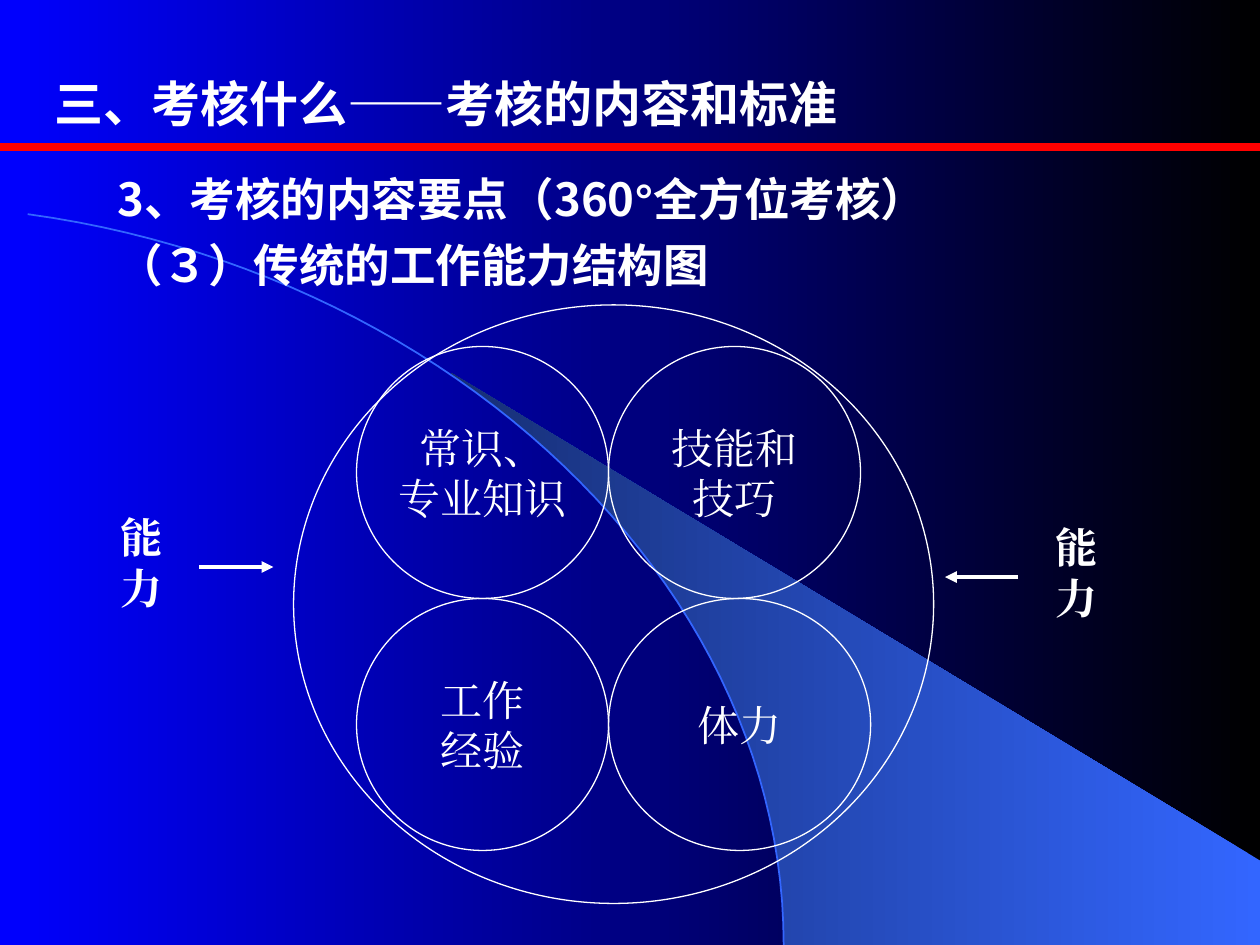
from lxml.etree import SubElement
from pptx import Presentation
from pptx.dml.color import RGBColor
from pptx.enum.shapes import MSO_CONNECTOR, MSO_SHAPE
from pptx.enum.text import MSO_ANCHOR, MSO_AUTO_SIZE, PP_ALIGN
from pptx.oxml.ns import qn
from pptx.util import Inches, Pt

HUES = {"white": "FFFFFF", "red": "FF0000", "black": "000000",
        "blue": "0000FF", "sky": "3366FF", "navy": "172F75"}
HUES = {name: RGBColor.from_string(code) for name, code in HUES.items()}
SANS, SERIF = "Noto Sans CJK SC", "Times New Roman"


def write(shape, lines, look, frame, para):
    """Fill a shape with paragraphs; a line is a list of (text, font) runs."""
    box = shape.text_frame
    for key, value in frame.items():
        setattr(box, key, value)
    for num, line in enumerate(lines):
        item = box.add_paragraph() if num else box.paragraphs[0]
        for key, value in para.items():
            setattr(item, key, value)
        item.space_before = para.get("space_before", Pt(0)) if num else Pt(0)
        for text, face in line:
            run = item.add_run()
            run.text = text
            run.font.color.rgb = HUES["white"]
            for key, value in {**look, "name": face}.items():
                setattr(run.font, key, value)
            SubElement(run.font._element, qn("a:ea"), typeface=face)


def draw_line(start, end, hue, width, head=False):
    ends = [Inches(v) for v in (*start, *end)]
    line = slide.shapes.add_connector(MSO_CONNECTOR.STRAIGHT, *ends)
    line.line.color.rgb = HUES[hue]
    line.line.width = Pt(width)
    if head:
        SubElement(line.line._get_or_add_ln(), qn("a:tailEnd"), type="triangle")
    SubElement(line._element.spPr, qn("a:effectLst"))


deck = Presentation()
deck.slide_width, deck.slide_height = Inches(10), Inches(7.5)
slide = deck.slides.add_slide(deck.slide_layouts[0])

# Curve of the backdrop, a cubic from upper left to the bottom edge
knots = [(0.22, 1.7), (3.57, 2.16), (6.22, 4.64), (6.22, 7.5)]
curve = []
for step in range(51):
    t = step / 50
    parts = ((1 - t) ** 3, 3 * t * (1 - t) ** 2, 3 * t * t * (1 - t), t ** 3)
    curve.append(tuple(sum(p * k[axis] for p, k in zip(parts, knots))
                       for axis in (0, 1)))
wedge = [(3.58, 2.96), *curve[19:], (10, 7.5), (10, 6.83)]

# Backdrop: wedge and arc
forms = []
for dots, closed in ((wedge, True), (curve, False)):
    dots = [(Inches(x), Inches(y)) for x, y in dots]
    pen = slide.shapes.build_freeform(*dots[0])
    pen.add_line_segments(dots[1:], close=closed)
    form = pen.convert_to_shape()
    form.shadow.inherit = False
    forms.append(form)
fan, arc = forms
fan.line.fill.background()
arc.fill.background()
arc.line.color.rgb = HUES["sky"]
arc.line.width = Pt(1)

# Gradients of the page and the wedge
for fill, hues in ((slide.background.fill, ("black", "blue")),
                   (fan.fill, ("sky", "navy"))):
    fill.gradient()
    fill.gradient_angle = 180
    for stop, hue, place in zip(fill.gradient_stops, hues, (0, 1)):
        stop.color.rgb = HUES[hue]
        stop.position = place

# Title and subtitle, raised above the backdrop
title, sub = slide.shapes.title, slide.placeholders[1]
for shape, spot in ((title, (0.33, 0.42, 9.42, 0.69)),
                    (sub, (0.83, 1.5, 8.42, 0.67))):
    shape.left, shape.top, shape.width, shape.height = map(Inches, spot)
    slide.shapes._spTree.append(shape._element)
base = {"word_wrap": True, "auto_size": MSO_AUTO_SIZE.NONE}
write(title, [[("三、考核什么——考核的内容和标准", SANS)]],
      {"size": Pt(28), "bold": True},
      {**base, "vertical_anchor": MSO_ANCHOR.TOP},
      {"alignment": PP_ALIGN.LEFT, "line_spacing": 1.25})
write(sub, [[("3、考核的内容要点（360", SANS), ("°", "Arial"), ("全方位考核）", SANS)],
            [("（３）传统的工作能力结构图", SANS)]],
      {"size": Pt(26), "bold": True},
      {**base, "vertical_anchor": MSO_ANCHOR.MIDDLE},
      {"alignment": PP_ALIGN.LEFT, "space_before": Pt(6.5)})
draw_line((0, 1.17), (10, 1.17), "red", 4.5)

# Outer circle and the four abilities inside it
mid = {"word_wrap": False, "vertical_anchor": MSO_ANCHOR.MIDDLE}
center = {"alignment": PP_ALIGN.CENTER}
rings = [((2.33, 2.42, 5.08, 4.75), []),
         ((4.83, 4.75, 2.08, 2), ["体力"]),
         ((2.83, 4.75, 2, 2), ["工作", "经验"]),
         ((2.83, 2.75, 2, 2), ["常识、", "专业知识"]),
         ((4.83, 2.75, 2, 2), ["技能和", "技巧"])]
for spot, lines in rings:
    ring = slide.shapes.add_shape(MSO_SHAPE.OVAL, *map(Inches, spot))
    ring.shadow.inherit = False
    ring.fill.background()
    ring.line.color.rgb = HUES["white"]
    ring.line.width = Pt(0.75)
    write(ring, [[(text, SERIF)] for text in lines],
          {"size": Pt(24)}, mid, center)

# Side labels with arrows toward the circle
for left, top, start, end, level in ((0.83, 4.17, 1.58, 2.17, 4.5),
                                     (8.25, 4.25, 8.08, 7.5, 4.58)):
    label = slide.shapes.add_textbox(*map(Inches, (left, top, 0.58, 0.58)))
    write(label, [[("能力", SERIF)]], {"size": Pt(24), "bold": True}, mid, center)
    draw_line((start, level), (end, level), "white", 2.25, head=True)

deck.save("out.pptx")
